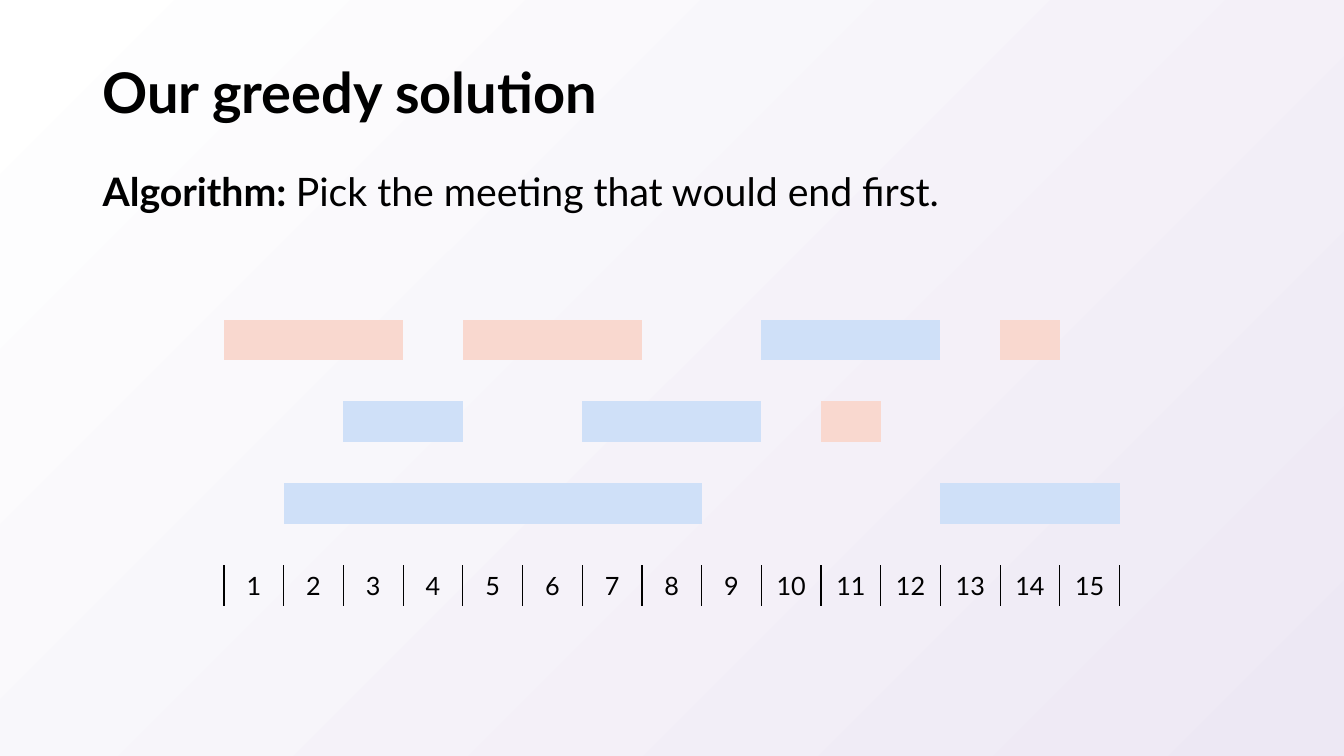
"""Build the greedy meeting schedule slide."""
from lxml.etree import SubElement
from pptx import Presentation
from pptx.dml.color import RGBColor
from pptx.enum.text import MSO_ANCHOR, PP_ALIGN
from pptx.oxml.ns import qn
from pptx.util import Inches, Pt

TITLE = [("Our greedy solution", True)]
RULE = [("Algorithm: ", True), ("Pick the meeting that would end first.", False)]
MEETINGS = [
    [(1, 3, "pick"), (5, 7, "pick"), (10, 12, "skip"), (14, 14, "pick")],
    [(3, 4, "skip"), (7, 9, "skip"), (11, 11, "pick")],
    [(2, 8, "skip"), (13, 15, "skip")],
]
COLORS = {"pick": "F9D8CF", "skip": "CFE0F8", "ink": "000000",
          "start": "FFFFFF", "end": "EDE8F4"}
FONT = "Lato"
PLAIN = "{2D5ABB26-0587-4C30-8999-92F81FD0307C}"
WIDE, HIGH = 13.33, 7.5
HOURS = 15
ROWS = 2 * len(MEETINGS) + 1
GRID_W = WIDE * 2 / 3
ROW_H = 0.406
GRID_TOP = 3.17


def color(name):
    return RGBColor.from_string(COLORS[name])


def style(run, size, bold=False):
    run.font.name = FONT
    run.font.size = Pt(size)
    run.font.bold = bold
    run.font.color.rgb = color("ink")


def add_text(slide, parts, top, height, size, anchor, spacing, before=0):
    box = slide.shapes.add_textbox(Inches(0.92), Inches(top), Inches(11.5), Inches(height))
    frame = box.text_frame
    frame.word_wrap = True
    frame.vertical_anchor = anchor
    para = frame.paragraphs[0]
    para.line_spacing = spacing
    para.space_before = Pt(before)
    for text, bold in parts:
        run = para.add_run()
        run.text = text
        style(run, size, bold)


def add_sides(cell):
    props = cell._tc.get_or_add_tcPr()
    for spot, side in enumerate(("a:lnL", "a:lnR")):
        line = SubElement(props, qn(side), w=str(Pt(1)))
        fill = SubElement(line, qn("a:solidFill"))
        SubElement(fill, qn("a:srgbClr"), val=COLORS["ink"])
        props.remove(line)
        props.insert(spot, line)


def add_grid(slide):
    frame = slide.shapes.add_table(
        ROWS, HOURS, Inches((WIDE - GRID_W) / 2), Inches(GRID_TOP),
        Inches(GRID_W), Inches(ROW_H * ROWS))
    table = frame.table
    table.first_row = table.horz_banding = False
    table._tbl.tblPr.find(qn("a:tableStyleId")).text = PLAIN
    for row in table.rows:
        row.height = Inches(ROW_H)
    for cell in table.iter_cells():
        cell.fill.background()
        cell.vertical_anchor = MSO_ANCHOR.MIDDLE
        cell.margin_left = cell.margin_right = 0
        cell.margin_top = cell.margin_bottom = Inches(0.04)
    for lane, meets in enumerate(MEETINGS):
        for first, last, kind in meets:
            for hour in range(first, last + 1):
                fill = table.cell(2 * lane, hour - 1).fill
                fill.solid()
                fill.fore_color.rgb = color(kind)
    for hour in range(HOURS):
        cell = table.cell(ROWS - 1, hour)
        cell.text_frame.text = str(hour + 1)
        para = cell.text_frame.paragraphs[0]
        para.alignment = PP_ALIGN.CENTER
        style(para.runs[0], 18)
        add_sides(cell)


def main():
    deck = Presentation()
    deck.slide_width, deck.slide_height = Inches(WIDE), Inches(HIGH)
    slide = deck.slides.add_slide(deck.slide_layouts[6])
    back = slide.background.fill
    back.gradient()
    back.gradient_angle = 315
    for stop, name in zip(back.gradient_stops, ("start", "end")):
        stop.color.rgb = color(name)
    add_text(slide, TITLE, 0.4, 1.09, 40, MSO_ANCHOR.MIDDLE, 0.9)
    add_text(slide, RULE, 1.49, 5.26, 28, MSO_ANCHOR.TOP, 1.25, 24)
    add_grid(slide)
    deck.save("out.pptx")


if __name__ == "__main__":
    main()
